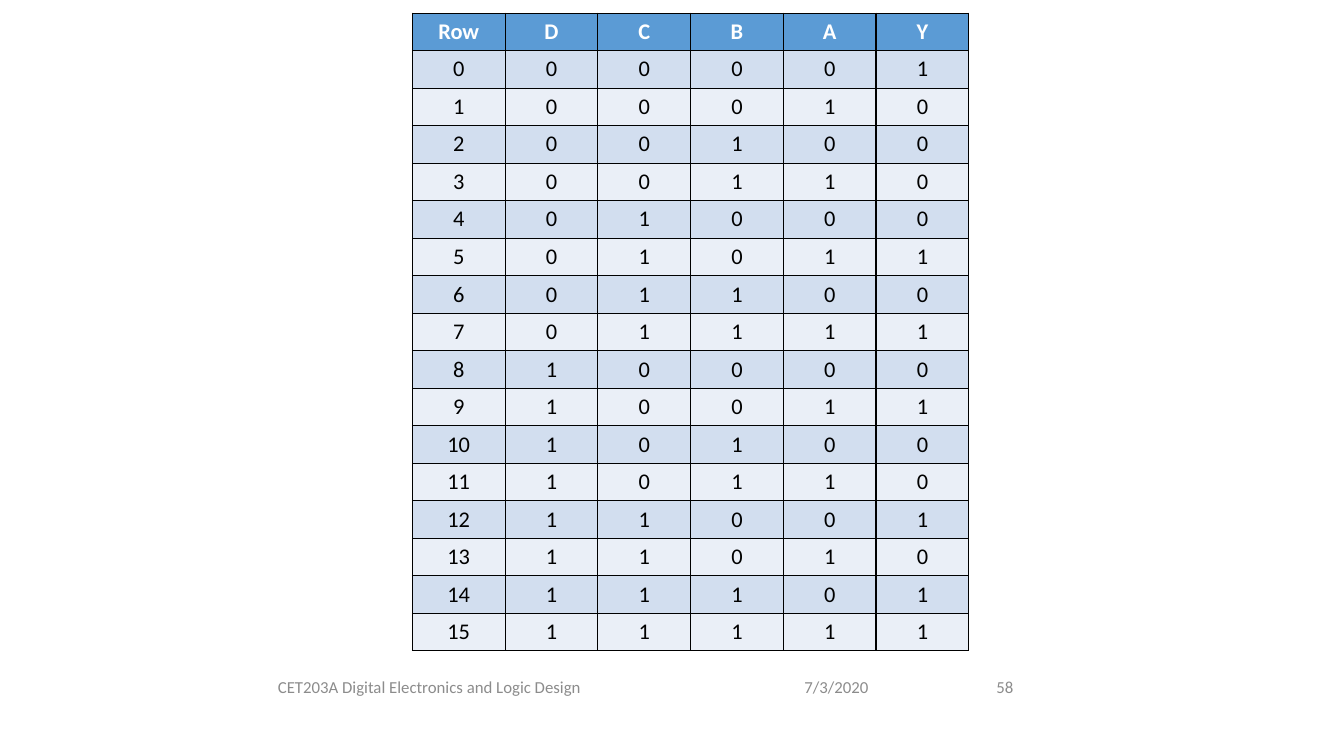
import dataclasses
import itertools

import lxml.etree
import pptx
import pptx.dml.color
import pptx.enum.text
import pptx.oxml.ns
import pptx.util

Inches = pptx.util.Inches
Align = pptx.enum.text.PP_ALIGN
Anchor = pptx.enum.text.MSO_ANCHOR


@dataclasses.dataclass(frozen=True)
class Theme:
    """Colours, font and type sizes of the slide."""

    font: str = "Calibri"
    table_size: int = 16
    footer_size: int = 12
    header_fill: str = "5B9BD5"
    header_text: str = "FFFFFF"
    bands: tuple = ("D2DEEF", "EAEFF7")
    body_text: str = "000000"
    border: str = "000000"
    footer_text: str = "8C8C8C"


THEME = Theme()
HEADINGS = ("Row", "D", "C", "B", "A", "Y")
HIGH_OUTPUT_ROWS = {0, 5, 7, 9, 12, 14, 15}
COLUMN_WIDTH = 0.92
ROW_HEIGHT = 0.36


def rgb(value):
    """Return a colour object for a hexadecimal string."""
    return pptx.dml.color.RGBColor.from_string(value)


def add_run(paragraph, text, size, color, bold=False):
    """Add one formatted run to a paragraph."""
    run = paragraph.add_run()
    run.text = text
    run.font.name = THEME.font
    run.font.size = pptx.util.Pt(size)
    run.font.bold = bold
    run.font.color.rgb = rgb(color)


def add_borders(cell):
    """Draw a thin line on each side of a table cell."""
    qn = pptx.oxml.ns.qn
    properties = cell._tc.get_or_add_tcPr()
    for side in ("a:lnL", "a:lnR", "a:lnT", "a:lnB"):
        line = lxml.etree.SubElement(properties, qn(side), w=str(pptx.util.Pt(1)))
        fill = lxml.etree.SubElement(line, qn("a:solidFill"))
        lxml.etree.SubElement(fill, qn("a:srgbClr"), val=THEME.border)


def format_cell(cell, text, fill, color, bold):
    """Fill a table cell with centred text."""
    add_borders(cell)
    cell.fill.solid()
    cell.fill.fore_color.rgb = rgb(fill)
    cell.margin_left = cell.margin_right = Inches(0.13)
    cell.margin_top = cell.margin_bottom = Inches(0.05)
    paragraph = cell.text_frame.paragraphs[0]
    paragraph.alignment = Align.CENTER
    add_run(paragraph, text, THEME.table_size, color, bold)


def truth_table_rows():
    """Return the headings and the sixteen input combinations with outputs."""
    rows = [HEADINGS]
    for number, inputs in enumerate(itertools.product((0, 1), repeat=4)):
        output = int(number in HIGH_OUTPUT_ROWS)
        rows.append((number, *inputs, output))
    return rows


def add_truth_table(slide, left, top):
    """Add the banded truth table."""
    rows = truth_table_rows()
    width = Inches(COLUMN_WIDTH * len(HEADINGS))
    height = Inches(ROW_HEIGHT * len(rows))
    shape = slide.shapes.add_table(
        len(rows), len(HEADINGS), Inches(left), Inches(top), width, height
    )
    table = shape.table
    for column in table.columns:
        column.width = Inches(COLUMN_WIDTH)
    for row_index, values in enumerate(rows):
        table.rows[row_index].height = Inches(ROW_HEIGHT)
        header = row_index == 0
        fill = THEME.header_fill if header else THEME.bands[(row_index - 1) % 2]
        color = THEME.header_text if header else THEME.body_text
        for column_index, value in enumerate(values):
            cell = table.cell(row_index, column_index)
            format_cell(cell, str(value), fill, color, header)


def add_footer(slide, text, left, width, alignment):
    """Add one text box on the footer line."""
    shape = slide.shapes.add_textbox(
        Inches(left), Inches(6.61), Inches(width), Inches(0.4)
    )
    frame = shape.text_frame
    frame.word_wrap = True
    frame.vertical_anchor = Anchor.MIDDLE
    paragraph = frame.paragraphs[0]
    paragraph.alignment = alignment
    add_run(paragraph, text, THEME.footer_size, THEME.footer_text)


def main():
    """Build and save the slide."""
    presentation = pptx.Presentation()
    presentation.slide_width = Inches(13.33)
    presentation.slide_height = Inches(7.5)
    slide = presentation.slides.add_slide(presentation.slide_layouts[6])
    add_truth_table(slide, 4.09, 0.13)
    add_footer(
        slide, "CET203A Digital Electronics and Logic Design", 0.89, 6.74, Align.CENTER
    )
    add_footer(slide, "58", 9.4, 0.75, Align.RIGHT)
    add_footer(slide, "7/3/2020", 7.88, 1, Align.LEFT)
    presentation.save("out.pptx")


if __name__ == "__main__":
    main()
